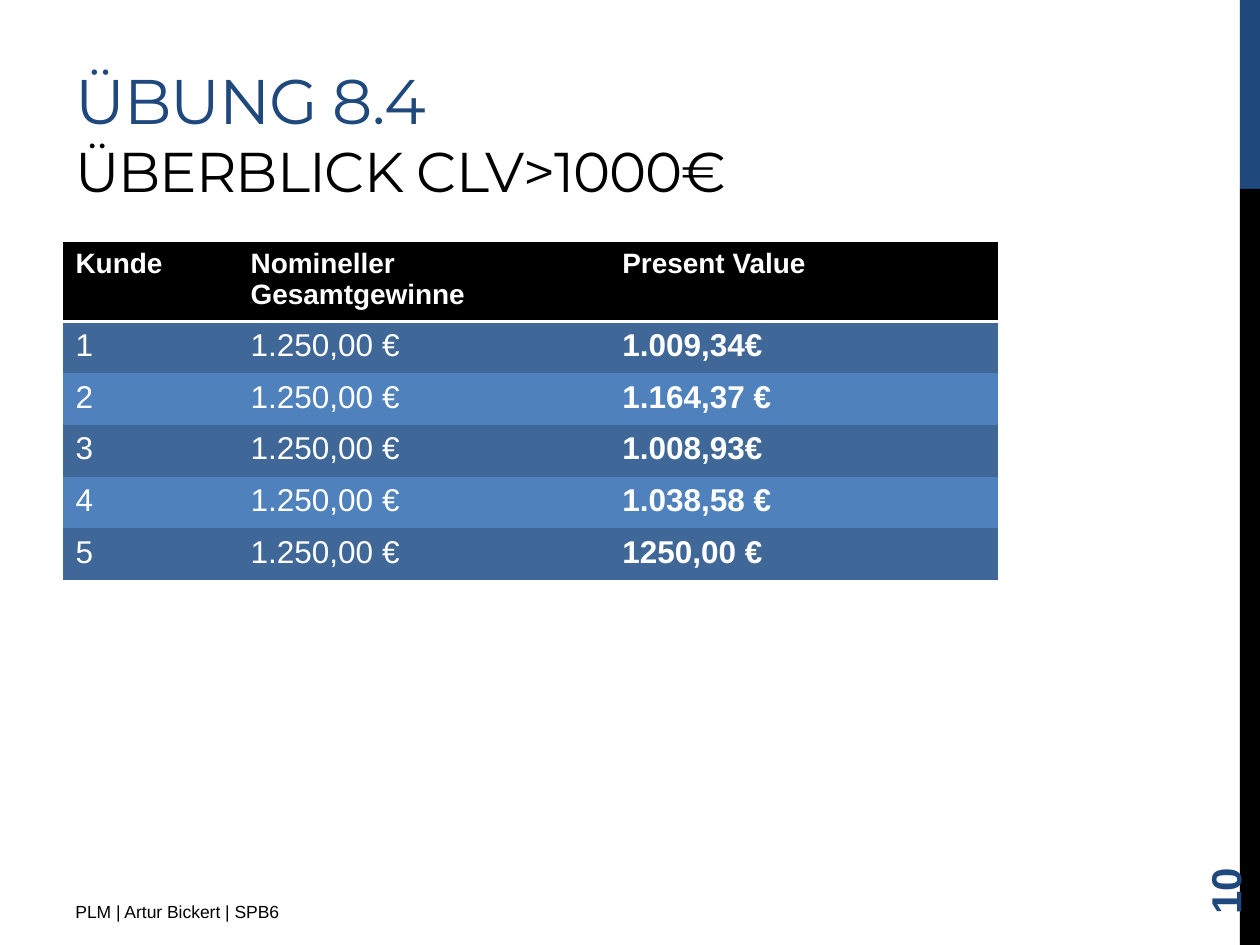
from dataclasses import dataclass

from lxml.etree import SubElement
from pptx import Presentation
from pptx.dml.color import RGBColor
from pptx.enum.shapes import MSO_SHAPE as Shape
from pptx.enum.text import MSO_ANCHOR as Anchor
from pptx.oxml.ns import qn
from pptx.util import Inches, Pt

NO_TABLE_STYLE = "{2D5ABB26-0587-4C30-8999-92F81FD0307C}"


@dataclass(frozen=True)
class Theme:
    navy: str = "1F497D"
    black: str = "000000"
    white: str = "FFFFFF"
    band_dark: str = "3F6797"
    band_light: str = "4F81BD"
    heading_font: str = "Montserrat"
    body_font: str = "Arial"
    title_size: int = 36
    subtitle_size: int = 32
    header_size: int = 16
    cell_size: int = 18
    footer_size: int = 10
    number_size: int = 24
    title_spacing: int = -60  # hundredths of a point


class SlideBuilder:
    def __init__(self, slide, theme):
        self.slide = slide
        self.theme = theme

    def run(self, paragraph, text, size, color, bold=False, font=None):
        run = paragraph.add_run()
        run.text = text
        run.font.name = font or self.theme.body_font
        run.font.size = Pt(size)
        run.font.bold = bold
        run.font.color.rgb = RGBColor.from_string(color)
        return run

    def bar(self, left, top, width, height, color):
        shape = self.slide.shapes.add_shape(
            Shape.RECTANGLE, Inches(left), Inches(top), Inches(width), Inches(height))
        shape.shadow.inherit = False
        shape.fill.solid()
        shape.fill.fore_color.rgb = RGBColor.from_string(color)
        shape.line.fill.background()

    def text_box(self, left, top, width, height, anchor=Anchor.TOP, rotation=0):
        """Add an empty text box and return its first paragraph."""
        box = self.slide.shapes.add_textbox(
            Inches(left), Inches(top), Inches(width), Inches(height))
        box.rotation = rotation
        frame = box.text_frame
        frame.word_wrap = True
        frame.vertical_anchor = anchor
        return frame.paragraphs[0]

    def title(self, heading, subheading):
        theme = self.theme
        paragraph = self.text_box(0.5, 0.17, 6.33, 1.5, Anchor.BOTTOM)
        first = self.run(paragraph, heading, theme.title_size, theme.navy,
                         font=theme.heading_font)
        paragraph.add_line_break()
        second = self.run(paragraph, subheading, theme.subtitle_size, theme.black,
                          font=theme.heading_font)
        for run in (first, second):
            run.font._element.set("spc", str(theme.title_spacing))

    def bottom_border(self, cell, color, width):
        properties = cell._tc.get_or_add_tcPr()
        line = SubElement(properties, qn("a:lnB"), w=str(Pt(width)))
        fill = SubElement(line, qn("a:solidFill"))
        SubElement(fill, qn("a:srgbClr"), val=color)
        properties.insert(0, line)  # borders precede the cell fill

    def table(self, left, top, column_widths, header_height, row_height, rows):
        theme = self.theme
        heights = [header_height] + [row_height] * (len(rows) - 1)
        table = self.slide.shapes.add_table(
            len(rows), len(column_widths), Inches(left), Inches(top),
            Inches(sum(column_widths)), Inches(sum(heights))).table
        table._tbl.tblPr.find(qn("a:tableStyleId")).text = NO_TABLE_STYLE
        for column, width in zip(table.columns, column_widths):
            column.width = Inches(width)
        for row_index, values in enumerate(rows):
            table.rows[row_index].height = Inches(heights[row_index])
            is_header = row_index == 0
            band = theme.band_dark if row_index % 2 else theme.band_light
            size = theme.header_size if is_header else theme.cell_size
            for column_index, value in enumerate(values):
                cell = table.cell(row_index, column_index)
                cell.fill.solid()
                cell.fill.fore_color.rgb = RGBColor.from_string(
                    theme.black if is_header else band)
                is_last = column_index == len(values) - 1
                self.run(cell.text_frame.paragraphs[0], value, size, theme.white,
                         bold=is_header or is_last)
                if is_header:
                    self.bottom_border(cell, theme.white, 2)


def main():
    theme = Theme()
    presentation = Presentation()
    presentation.slide_width = Inches(10)
    presentation.slide_height = Inches(7.5)
    slide = presentation.slides.add_slide(presentation.slide_layouts[6])
    builder = SlideBuilder(slide, theme)

    builder.bar(9.84, 0, 0.16, 1.5, theme.navy)
    builder.bar(9.84, 1.5, 0.16, 6, theme.black)
    builder.title("ÜBUNG 8.4", "ÜBERBLICK CLV>1000€")

    present_values = ["1.009,34€", "1.164,37 €", "1.008,93€", "1.038,58 €", "1250,00 €"]
    rows = [("Kunde", "Nomineller Gesamtgewinne", "Present Value")]
    rows += [(str(customer), "1.250,00 €", value)
             for customer, value in enumerate(present_values, start=1)]
    builder.table(0.5, 1.92, [1.39, 2.95, 3.08], 0.6, 0.41, rows)

    footer = builder.text_box(0.5, 7.1, 3.75, 0.31)
    builder.run(footer, "PLM | Artur Bickert | SPB6", theme.footer_size, theme.black)
    page_number = builder.text_box(9, 6.44, 1.44, 0.4, Anchor.MIDDLE, rotation=270)
    builder.run(page_number, "10", theme.number_size, theme.navy, bold=True)

    presentation.save("out.pptx")


if __name__ == "__main__":
    main()
